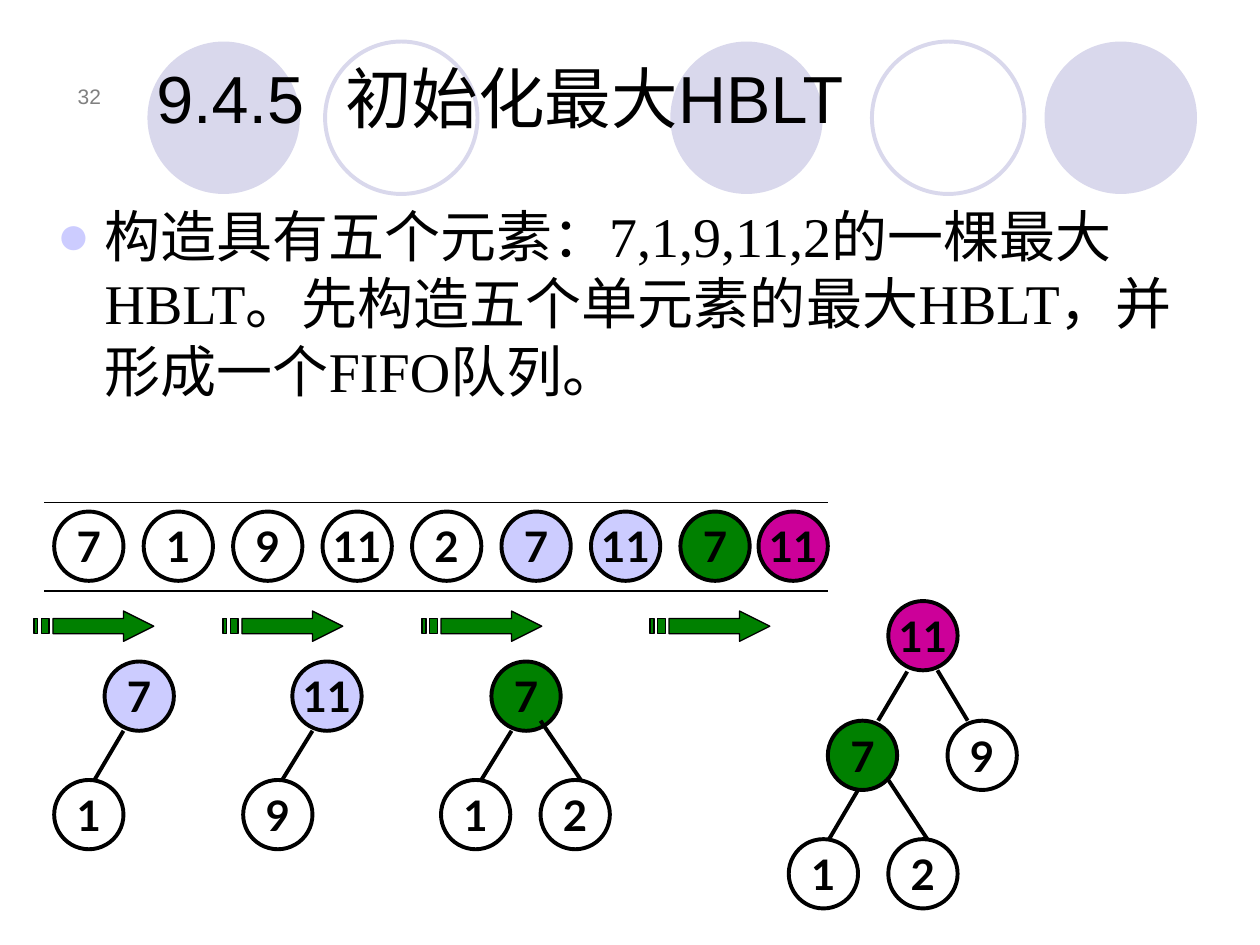
from pptx import Presentation
from pptx import util as u
from pptx.dml.color import RGBColor
from pptx.enum import shapes, text
from pptx.oxml.ns import qn
from lxml import etree

BLACK = RGBColor(0x00, 0x00, 0x00)
GRAY = RGBColor(0x80, 0x80, 0x80)
PALE = RGBColor(0xD9, 0xD8, 0xEC)
LILAC = RGBColor(0xCC, 0xCC, 0xFF)
GREEN = RGBColor(0x00, 0x80, 0x00)
PINK = RGBColor(0xCC, 0x00, 0x99)

QUEUE = [("7", None), ("1", None), ("9", None), ("11", None), ("2", None),
         ("7", LILAC), ("11", LILAC), ("7", GREEN)]
NODES = [
    (0.83, 5.25, "7", LILAC), (0.43, 6.19, "1", None),
    (2.32, 5.25, "11", LILAC), (1.93, 6.19, "9", None),
    (3.9, 5.25, "7", GREEN), (3.5, 6.19, "1", None), (4.29, 6.19, "2", None),
    (7.05, 4.77, "11", PINK), (7.52, 5.72, "9", None),
    (6.57, 5.72, "7", GREEN), (6.26, 6.66, "1", None), (7.05, 6.66, "2", None),
]
EDGES = [
    (0.98, 5.8, 0.75, 6.19), (2.48, 5.8, 2.24, 6.19),
    (4.06, 5.8, 3.82, 6.19), (4.29, 5.72, 4.61, 6.19),
    (7.2, 5.33, 6.97, 5.72), (7.44, 5.32, 7.68, 5.72),
    (6.81, 6.27, 6.58, 6.66), (7.05, 6.19, 7.36, 6.66),
]
ARROW = [
    [(0.71, 0), (0.71, 0.06), (0.15, 0.06), (0.15, 0.18),
     (0.71, 0.18), (0.71, 0.24), (0.95, 0.12)],
    [(0.06, 0.06), (0.06, 0.18), (0.12, 0.18), (0.12, 0.06)],
    [(0, 0.06), (0, 0.18), (0.03, 0.18), (0.03, 0.06)],
]


class Board:
    node = 0.55
    disc = 1.21

    def __init__(self, slide):
        self.slide = slide
        self.shapes = slide.shapes

    def font(self, para, name, size, color=BLACK, bold=False):
        font = para.font
        font.name, font.size, font.bold = name, u.Pt(size), bold
        font.color.rgb = color

    def paint(self, shape, fill, line, width):
        shape.shadow.inherit = False
        if fill is None:
            shape.fill.background()
        else:
            shape.fill.solid()
            shape.fill.fore_color.rgb = fill
        if line is None:
            shape.line.fill.background()
        else:
            shape.line.color.rgb = line
            shape.line.width = u.Pt(width)

    def oval(self, x, y, size, fill, line, width=2.25):
        side = u.Inches(size)
        shape = self.shapes.add_shape(
            shapes.MSO_SHAPE.OVAL, u.Inches(x), u.Inches(y), side, side)
        self.paint(shape, fill, line, width)
        return shape

    def back(self, x, solid):
        shape = self.oval(x, 0.33, self.disc, PALE if solid else None,
                          None if solid else PALE)
        self.shapes.title.element.addprevious(shape.element)

    def ball(self, x, y, label, fill):
        frame = self.oval(x, y, self.node, fill, BLACK).text_frame
        frame.word_wrap = False
        frame.vertical_anchor = text.MSO_ANCHOR.MIDDLE
        para = frame.paragraphs[0]
        para.text = label
        para.alignment = text.PP_ALIGN.CENTER
        self.font(para, "Lato", 24, bold=True)

    def line(self, x1, y1, x2, y2, width):
        line = self.shapes.add_connector(
            shapes.MSO_CONNECTOR.STRAIGHT,
            u.Inches(x1), u.Inches(y1), u.Inches(x2), u.Inches(y2))
        line.line.color.rgb = BLACK
        line.line.width = u.Pt(width)
        etree.SubElement(line.element.spPr, qn("a:effectLst"))

    def arrow(self, x, y):
        parts = [[(u.Inches(x + dx), u.Inches(y + dy)) for dx, dy in part]
                 for part in ARROW]
        form = self.shapes.build_freeform(*parts[0][0])
        for part in parts:
            if part is not parts[0]:
                form.move_to(*part[0])
            form.add_line_segments(part[1:], close=True)
        self.paint(form.convert_to_shape(), GREEN, BLACK, 0.75)

    def label(self, shape, box, words, anchor, align):
        shape.left, shape.top, shape.width, shape.height = map(u.Inches, box)
        frame = shape.text_frame
        frame.word_wrap = True
        frame.auto_size = text.MSO_AUTO_SIZE.NONE
        frame.vertical_anchor = anchor
        para = frame.paragraphs[0]
        para.text = words
        para.alignment = align
        para.space_before = u.Pt(0)
        return para

    def title(self, words):
        para = self.label(self.shapes.title, (1.14, 0.21, 8.59, 0.93), words,
                          text.MSO_ANCHOR.BOTTOM, text.PP_ALIGN.LEFT)
        self.font(para, "Arial", 38)

    def body(self, words):
        para = self.label(self.slide.placeholders[1], (0.35, 1.55, 9.37, 2.28),
                          words, text.MSO_ANCHOR.TOP, text.PP_ALIGN.LEFT)
        props = para._p.get_or_add_pPr()
        props.set("marL", str(u.Inches(0.38)))
        props.set("indent", str(u.Inches(-0.38)))
        tint = etree.SubElement(props, qn("a:buClr"))
        etree.SubElement(tint, qn("a:srgbClr")).set("val", str(LILAC))
        etree.SubElement(props, qn("a:buChar")).set("char", "●")
        self.font(para, "Times New Roman", 32)

    def number(self, words):
        box = (0.35, 0.44, 0.55, 0.47)
        shape = self.shapes.add_textbox(*map(u.Inches, box))
        para = self.label(shape, box, words,
                          text.MSO_ANCHOR.BOTTOM, text.PP_ALIGN.RIGHT)
        self.font(para, "Arial", 12, GRAY)


def main():
    deck = Presentation()
    deck.slide_width, deck.slide_height = u.Inches(10), u.Inches(7.5)
    board = Board(deck.slides.add_slide(deck.slide_layouts[1]))

    for x, solid in [(5.32, True), (8.29, True), (1.17, True),
                     (6.92, False), (2.58, False)]:
        board.back(x, solid)
    board.number("32")
    board.title("9.4.5\t初始化最大HBLT")
    board.body("构造具有五个元素：7,1,9,11,2的一棵最大HBLT。"
               "先构造五个单元素的最大HBLT，并形成一个FIFO队列。")

    for y in (3.99, 4.69):
        board.line(0.35, y, 6.57, y, 0.75)
    for i, (label, fill) in enumerate(QUEUE):
        board.ball(0.43 + 0.71 * i, 4.06, label, fill)
    board.ball(6.02, 4.06, "11", PINK)

    for x in (0.27, 1.77, 3.35, 5.16):
        board.arrow(x, 4.85)
    for node in NODES:
        board.ball(*node)
    for edge in EDGES:
        board.line(*edge, 2.25)

    deck.save("out.pptx")


if __name__ == "__main__":
    main()
